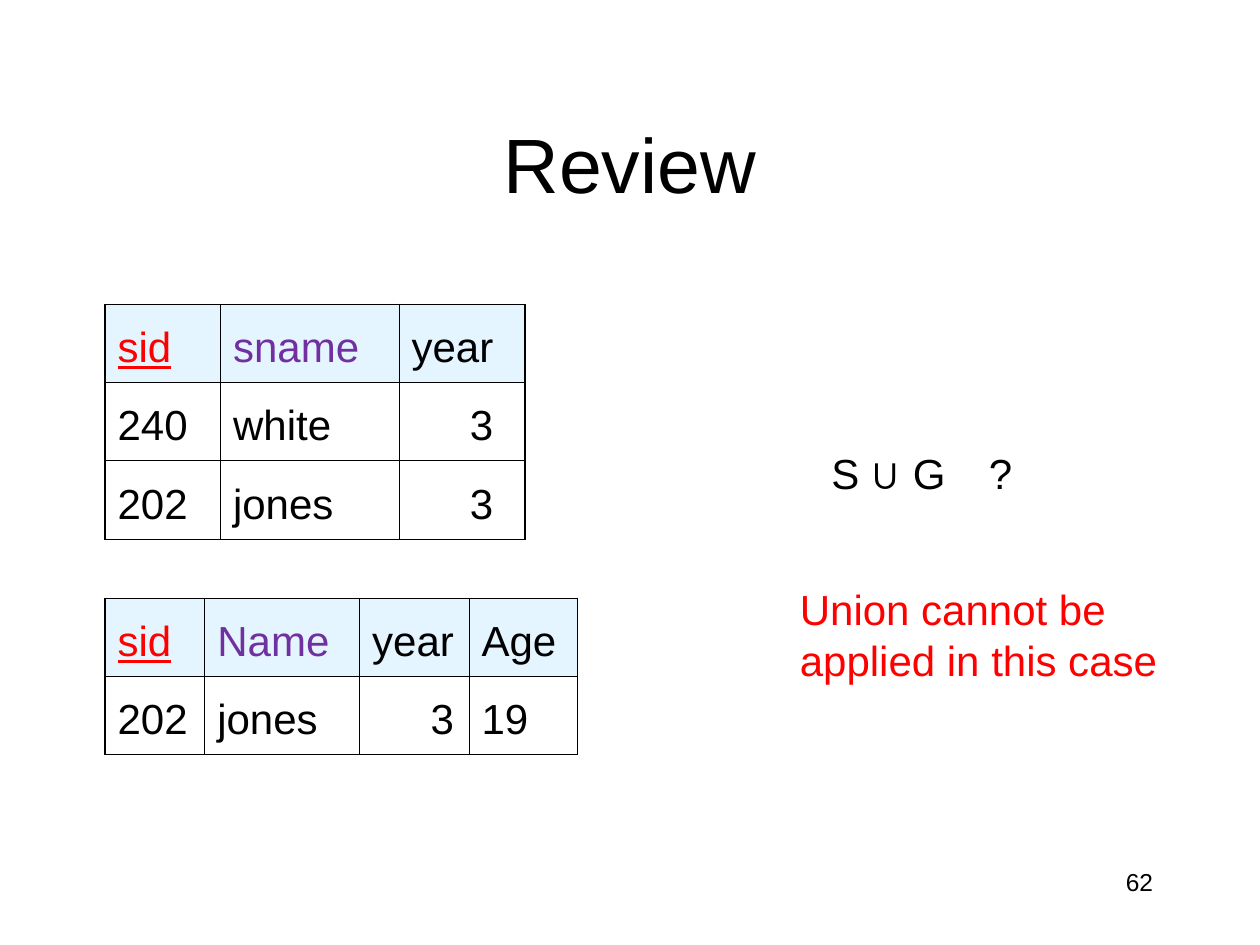
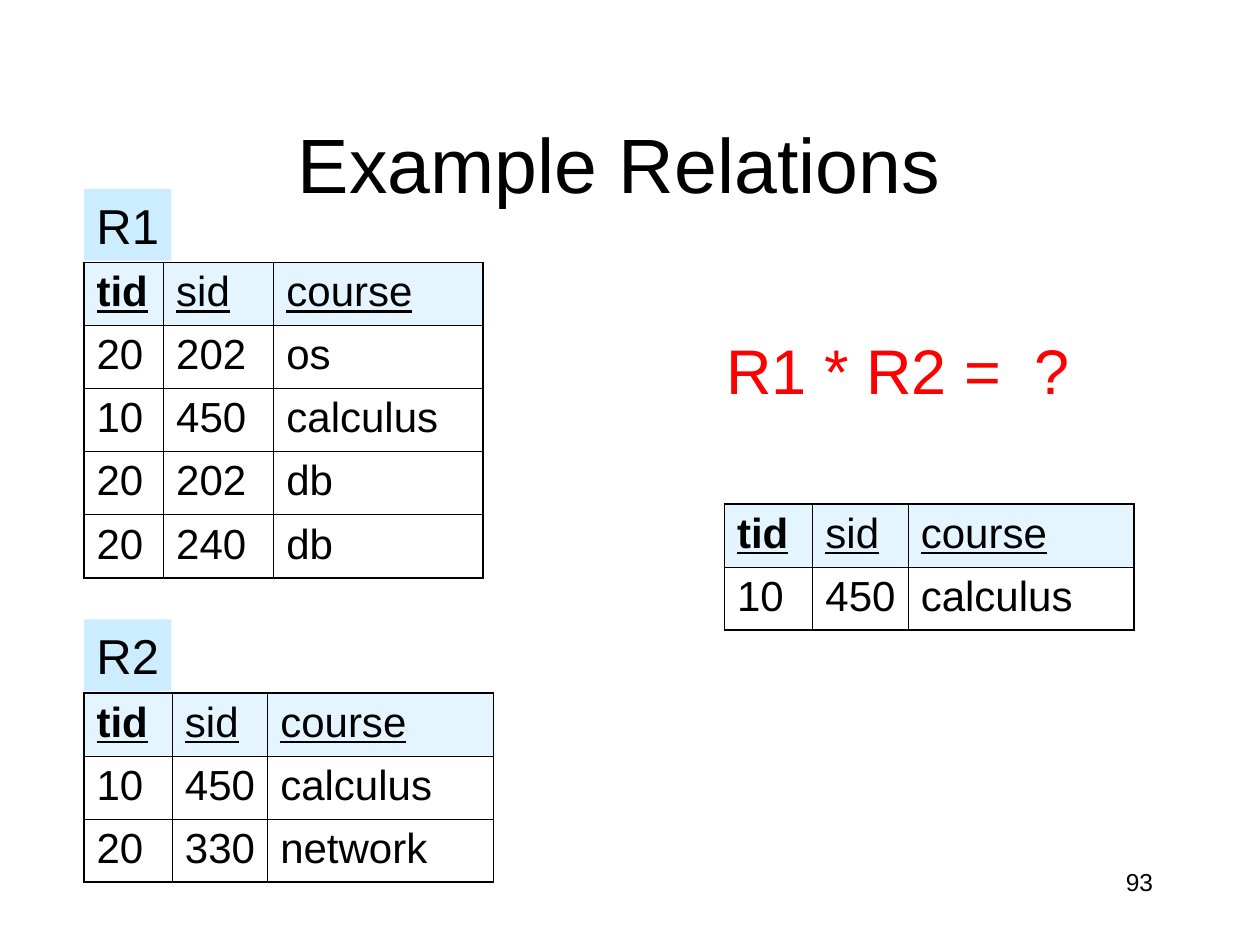
from lxml import etree
from pptx import Presentation
from pptx import util as u
from pptx.dml.color import RGBColor
from pptx.enum import shapes, text
from pptx.oxml.ns import qn

FONT = "Arial"
BLACK, RED, PURPLE, SKY = "000000", "FF0000", "7030A0", "CCECFF"
THICK, THIN = 1.08, 0.45
LEFT, CENTER, RIGHT = (text.PP_ALIGN.LEFT, text.PP_ALIGN.CENTER,
                       text.PP_ALIGN.RIGHT)
UNDERLINED = {"underline": True}
KEY = {"underline": True, "bold": True}
COURSE_HEADER = [("tid", KEY), ("sid", UNDERLINED), ("course", UNDERLINED)]
COURSE_COLS = [50.5, 54.5, 129]


def rgb(value):
    return RGBColor.from_string(value)


class Deck:
    """Holds the shared style and the slide being filled."""

    def __init__(self):
        self.prs = Presentation()
        self.prs.slide_width, self.prs.slide_height = u.Pt(720), u.Pt(540)
        self.s = None

    def slide(self, title, number):
        self.s = self.prs.slides.add_slide(self.prs.slide_layouts[6])
        self.text(title, 54, 48, 612, 90, size=44, align=CENTER,
                  anchor=text.MSO_ANCHOR.MIDDLE)
        self.text(number, 516, 492, 150, 36, size=14, align=RIGHT)

    def add_run(self, tf, content, size=24, color=BLACK, align=LEFT, **fmt):
        """Put one formatted run in the first paragraph and return it."""
        p = tf.paragraphs[0]
        p.alignment = align
        r = p.add_run()
        r.text = content
        r.font.color.rgb = rgb(color)
        values = {"name": FONT, "size": u.Pt(size), "bold": False,
                  "underline": False, **fmt}
        for name, value in values.items():
            setattr(r.font, name, value)
        return p

    def text(self, content, x, y, w, h, anchor=text.MSO_ANCHOR.TOP, tab=None,
             **fmt):
        """Add a text box; tab is the position of its tab stop."""
        box = self.s.shapes.add_textbox(*map(u.Pt, (x, y, w, h)))
        tf = box.text_frame
        tf.word_wrap, tf.vertical_anchor = True, anchor
        if tab:
            pPr = tf.paragraphs[0]._p.get_or_add_pPr()
            stops = etree.SubElement(pPr, qn("a:tabLst"))
            etree.SubElement(stops, qn("a:tab"), pos=str(u.Pt(tab)), algn="l")
        self.add_run(tf, content, **fmt)

    def label(self, content, x, y):
        sp = self.s.shapes.add_shape(shapes.MSO_SHAPE.RECTANGLE,
                                     *map(u.Pt, (x, y, 50, 41)))
        sp.shadow.inherit = False
        sp.fill.solid()
        sp.fill.fore_color.rgb = rgb(SKY)
        sp.line.fill.background()
        sp.text_frame.word_wrap = False
        self.add_run(sp.text_frame, content, size=28, align=CENTER)

    def borders(self, cell, widths):
        tcPr = cell._tc.get_or_add_tcPr()
        for side, width in widths.items():
            ln = etree.SubElement(tcPr, qn(f"a:ln{side}"), w=str(u.Pt(width)))
            fill = etree.SubElement(ln, qn("a:solidFill"))
            etree.SubElement(fill, qn("a:srgbClr"), val=BLACK)

    def tint(self, cell):
        """Fill a header cell with half-transparent sky blue."""
        cell.fill.solid()
        cell.fill.fore_color.rgb = rgb(SKY)
        fill = cell._tc.tcPr.find(qn("a:solidFill"))
        etree.SubElement(fill[0], qn("a:alpha"), val="50000")

    def table(self, x, y, cols, header, rows, row_h=36, spacing=1.0,
              bottom=THICK, indents=None):
        """Add a relation; indents maps a column to its body text indent."""
        grid = [header] + [[(value, {}) for value in row] for row in rows]
        last_row, last_col = len(grid) - 1, len(cols) - 1
        frame = self.s.shapes.add_table(
            len(grid), len(cols),
            *map(u.Pt, (x, y, sum(cols), row_h * len(grid))))
        tbl = frame.table
        tbl.first_row = tbl.horz_banding = False
        for col, width in zip(tbl.columns, cols):
            col.width = u.Pt(width)
        for i, row in enumerate(grid):
            tbl.rows[i].height = u.Pt(row_h)
            for j, (content, fmt) in enumerate(row):
                cell = tbl.cell(i, j)
                p = self.add_run(cell.text_frame, content, **fmt)
                p.line_spacing = spacing
                if i and indents and j in indents:
                    p._p.get_or_add_pPr().set("marL", str(u.Pt(indents[j])))
                self.borders(cell, {
                    "L": THIN if j else THICK,
                    "R": THICK if j == last_col else THIN,
                    "T": THIN if i else THICK,
                    "B": bottom if i == last_row else THIN})
                if i:
                    cell.fill.background()
                else:
                    self.tint(cell)


def review(deck):
    deck.slide("Review", "62")
    sid = ("sid", {"color": RED, **UNDERLINED})
    year = ("year", {})
    style = {"row_h": 44.6, "spacing": 1.3, "bottom": THIN,
             "indents": {2: 33.35}}
    deck.table(60, 174, [66, 102, 72],
               [sid, ("sname", {"color": PURPLE}), year],
               [["240", "white", "3"], ["202", "jones", "3"]], **style)
    deck.table(60, 342, [57, 88.5, 62.5, 62],
               [sid, ("Name", {"color": PURPLE}), year, ("Age", {})],
               [["202", "jones", "3", "19"]], **style)
    deck.text("?", 558, 252, 36, 36)
    deck.text("Union cannot be applied in this case", 450, 330, 222, 65,
              color=RED)
    deck.text("S ∪ G", 468, 252, 108, 36)


def example_relations(deck):
    deck.slide("Example Relations ", "93")
    deck.table(48, 150, [45.5, 63, 119.5], COURSE_HEADER,
               [["20", "202", "os"], ["10", "450", "calculus"],
                ["20", "202", "db"], ["20", "240", "db"]])
    deck.table(48, 396, COURSE_COLS, COURSE_HEADER,
               [["10", "450", "calculus"], ["20", "330", "network"]])
    for name, y in (("R2", 354), ("R1", 108)):
        deck.label(name, 48, y)
    deck.text("R1 * R2 =\t?", 408, 186, 234, 50, size=36, color=RED, tab=176)
    deck.table(414, 288, COURSE_COLS, COURSE_HEADER,
               [["10", "450", "calculus"]])


def main():
    deck = Deck()
    review(deck)
    example_relations(deck)
    deck.prs.save("out.pptx")


if __name__ == "__main__":
    main()
